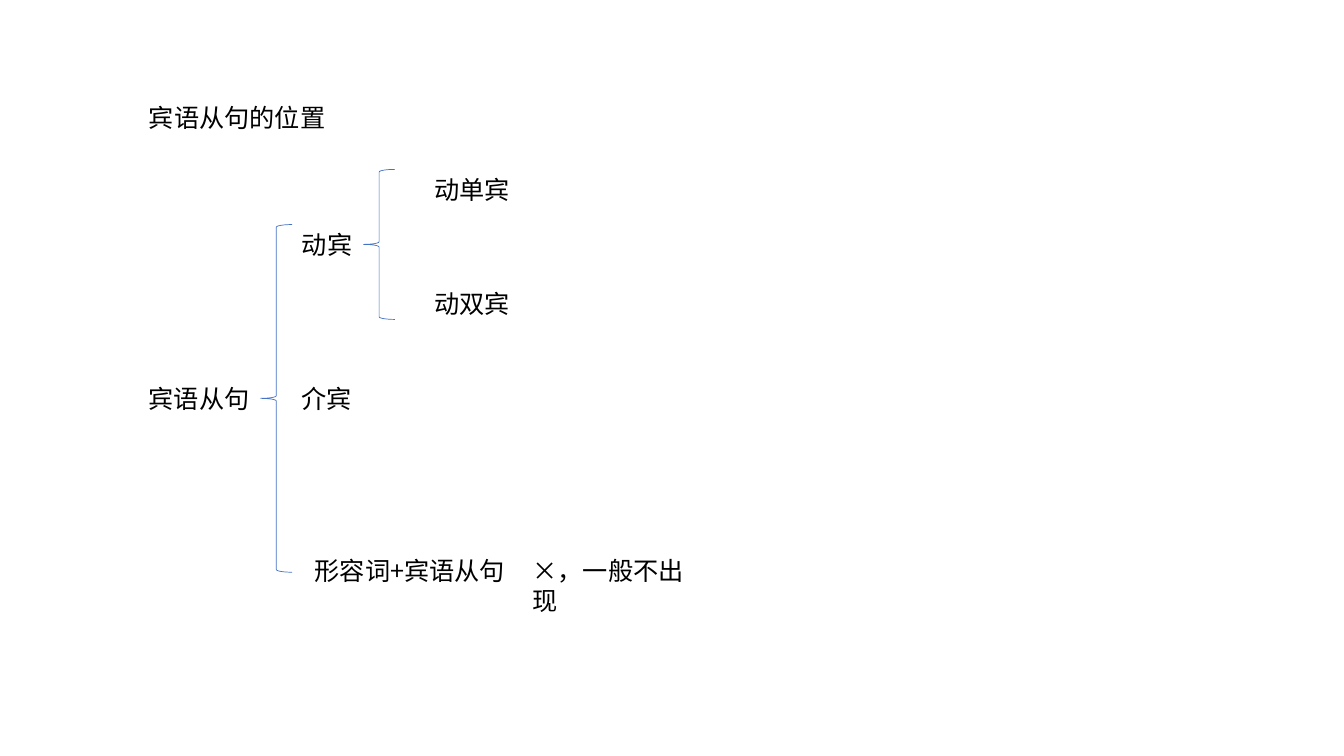
"""Build a slide that sorts the positions of object clauses with braces."""
from pptx import Presentation
from pptx.dml.color import RGBColor
from pptx.enum.shapes import MSO_SHAPE
from pptx.enum.text import MSO_ANCHOR, MSO_AUTO_SIZE, PP_ALIGN
from pptx.oxml.ns import qn
from pptx.util import Cm, Pt

LEFT_BRACE = MSO_SHAPE.LEFT_BRACE
TOP = MSO_ANCHOR.TOP
GROW = MSO_AUTO_SIZE.SHAPE_TO_FIT_TEXT
LEFT = PP_ALIGN.LEFT

FONT = "Noto Sans CJK SC"
TEXT_COLOR = "000000"
BRACE_COLOR = "4472C4"
LINE_HEIGHT = 1.02
BRACE_WIDTH = 0.79
TITLE_ONLY = 5


def color(hex_code):
    """Turn a hex string into a colour."""
    return RGBColor.from_string(hex_code)


def text_width(text):
    """Return the width in cm of a box that holds the text on one line."""
    return 0.635 * len(text) + 0.53


def place(shape, left, top, width, height):
    """Put a shape at a position given in cm."""
    shape.left, shape.top = Cm(left), Cm(top)
    shape.width, shape.height = Cm(width), Cm(height)


def write(shape, text, wrap=False):
    """Write one line of formatted text into a shape."""
    frame = shape.text_frame
    frame.word_wrap = wrap
    frame.auto_size = GROW
    frame.vertical_anchor = TOP
    paragraph = frame.paragraphs[0]
    paragraph.alignment = LEFT
    run = paragraph.add_run()
    run.text = text
    run.font.size = Pt(18)
    run.font.name = FONT
    run.font.color.rgb = color(TEXT_COLOR)
    east_asian = run.font._element.makeelement(qn("a:ea"), {"typeface": FONT})
    run.font._element.find(qn("a:latin")).addnext(east_asian)


def add_title(slide, left, top, text):
    """Place and format the slide title."""
    place(slide.shapes.title, left, top, text_width(text), LINE_HEIGHT)
    write(slide.shapes.title, text)


def add_term(slide, left, top, text, width=None):
    """Add a term, wrapped when a width is given."""
    box_width = width or text_width(text)
    term = slide.shapes.add_textbox(Cm(left), Cm(top), Cm(box_width), Cm(LINE_HEIGHT))
    write(term, text, wrap=width is not None)


def add_brace(slide, left, top, height):
    """Add an outlined left brace."""
    brace = slide.shapes.add_shape(
        LEFT_BRACE, Cm(left), Cm(top), Cm(BRACE_WIDTH), Cm(height))
    brace.shadow.inherit = False
    brace.fill.background()
    brace.line.color.rgb = color(BRACE_COLOR)
    brace.line.width = Pt(0.5)


def add_branching(slide, left, top, height, label, branches):
    """Add a label, a brace centred on it and branches offset from the brace."""
    brace_left = left + text_width(label)
    add_term(slide, left, top + (height - LINE_HEIGHT) / 2, label)
    add_brace(slide, brace_left, top, height)
    for text, across, down, width in branches:
        add_term(slide, brace_left + across, top + down, text, width)


def main():
    """Build and save the slide."""
    deck = Presentation()
    deck.slide_width, deck.slide_height = Cm(33.87), Cm(19.05)
    slide = deck.slides.add_slide(deck.slide_layouts[TITLE_ONLY])
    add_title(slide, 3.5, 2.44, "宾语从句的位置")
    add_branching(slide, 3.5, 5.66, 8.76, "宾语从句", [
        ("介宾", 0.78, 3.87, None),
        ("形容词+宾语从句", 1.11, 8.21, 5.44),
        ("×，一般不出现", 6.6, 8.21, 4.78),
    ])
    add_branching(slide, 7.36, 4.27, 3.78, "动宾", [
        ("动单宾", 1.54, 0, None),
        ("动双宾", 1.54, 2.87, None),
    ])
    deck.save("out.pptx")


if __name__ == "__main__":
    main()
